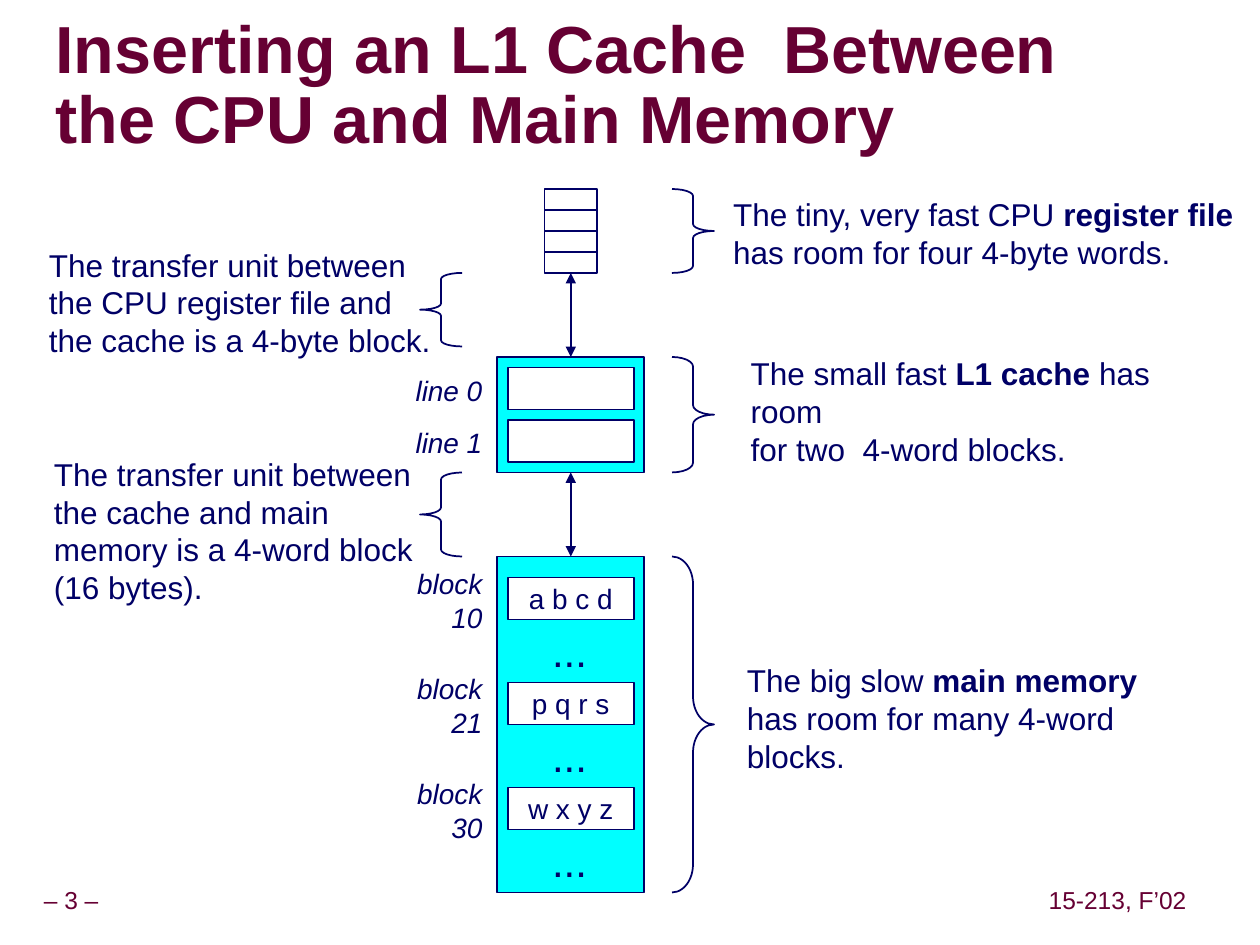
from collections import namedtuple

from lxml.etree import SubElement
from pptx import Presentation
from pptx.dml.color import RGBColor
from pptx.enum.shapes import MSO_CONNECTOR as Connector, MSO_SHAPE as Shape
from pptx.enum.text import MSO_ANCHOR as Anchor, PP_ALIGN as Align
from pptx.oxml.ns import qn
from pptx.util import Inches, Pt

NAVY = RGBColor(0x00, 0x00, 0x66)
MAROON = RGBColor(0x66, 0x00, 0x33)
CYAN = RGBColor(0x00, 0xFF, 0xFF)
WHITE = RGBColor(0xFF, 0xFF, 0xFF)
FONT = "Arial"
ROW = 1 / 12  # grid step in inches
CENTRE = 4.53  # axis of the memory column
LABEL_WIDTH = 1.02

Box = namedtuple("Box", "left top width height")


def centred(top_row, columns, rows):
    """Box on the memory axis, measured in grid steps."""
    width = columns * ROW
    return Box(CENTRE - width / 2, top_row * ROW, width, rows * ROW)


def emu(box):
    return [Inches(length) for length in box]


def write(frame, lines, size, color=NAVY, align=Align.LEFT, bold=None,
          italic=None, spacing=None, margins=(0.1, 0.05)):
    """Fill a frame with one paragraph per line; *stars* enclose bold words."""
    frame.word_wrap = False
    frame.vertical_anchor = Anchor.MIDDLE
    frame.margin_left = frame.margin_right = Inches(margins[0])
    frame.margin_top = frame.margin_bottom = Inches(margins[1])
    for index, line in enumerate(lines):
        paragraph = frame.add_paragraph() if index else frame.paragraphs[0]
        paragraph.alignment = align
        paragraph.line_spacing = spacing
        font = paragraph.font
        font.name, font.size, font.color.rgb = FONT, Pt(size), color
        font.bold, font.italic = bold, italic
        for part, words in enumerate(line.split("*")):
            if words:
                run = paragraph.add_run()
                run.text = words
                if part % 2:
                    run.font.bold = True


def add_text(slide, box, lines, size, **style):
    frame = slide.shapes.add_textbox(*emu(box)).text_frame
    write(frame, lines, size, **style)
    return frame


def add_outline(slide, kind, box, fill=None):
    shape = slide.shapes.add_shape(kind, *emu(box))
    shape.shadow.inherit = False
    if fill is None:
        shape.fill.background()
    else:
        shape.fill.solid()
        shape.fill.fore_color.rgb = fill
    shape.line.color.rgb = NAVY
    shape.line.width = Pt(1)
    return shape


def add_brace(slide, kind, box):
    brace = add_outline(slide, kind, box)
    brace.adjustments[0] = box.height / 12 / box.width


def add_title(slide, box):
    frame = add_text(slide, box, ["Inserting an L1 Cache  Between ", "the CPU and Main Memory"],
                     38, color=MAROON, bold=True, spacing=0.87, margins=(0, 0))
    for paragraph in frame.paragraphs:
        for run in paragraph.runs:
            effects = SubElement(run.font._element, qn("a:effectLst"))
            shadow = SubElement(effects, qn("a:outerShdw"), dist="38100", dir="2700000")
            SubElement(shadow, qn("a:srgbClr"), val="969696")


def add_footer(slide, box):
    for left, width, words in ((-0.09, 1.31, "– 3 –"), (8.27, 1.2, "15-213, F’02")):
        add_text(slide, Box(box.left + left, box.top, width, box.height), [words], 14,
                 color=MAROON, align=Align.CENTER, spacing=0.9, margins=(0.05, 0.05))


def add_registers(slide, box, count=4):
    """Stack the register cells; return the lowest one."""
    height = box.height / count
    for index in range(count):
        cell = add_outline(slide, Shape.RECTANGLE,
                           Box(box.left, box.top + index * height, box.width, height))
    return cell


def add_store(slide, box, first_row, pitch, blocks, gap_dots=False):
    """Draw a cyan store holding labelled blocks, and return its frame."""
    store = add_outline(slide, Shape.RECTANGLE, box, CYAN)
    for index, (label, content) in enumerate(blocks):
        block = Box(box.left + ROW, box.top + (first_row + index * pitch) * ROW,
                    box.width - 2 * ROW, 4 * ROW)
        cell = add_outline(slide, Shape.RECTANGLE, block, WHITE)
        if content:
            write(cell.text_frame, [content], 16, align=Align.CENTER)
        add_text(slide, Box(box.left - LABEL_WIDTH - 0.02, block.top, LABEL_WIDTH, 0.36),
                 [label], 16, align=Align.RIGHT, italic=True)
        if gap_dots:
            add_text(slide, Box(CENTRE - 0.25, block.top + block.height, 0.48, 0.5),
                     ["..."], 24, align=Align.CENTER)
    return store


def add_transfer(slide, upper, lower):
    arrow = slide.shapes.add_connector(Connector.STRAIGHT, 0, 0, 0, 0)
    arrow.begin_connect(upper, 2)
    arrow.end_connect(lower, 0)
    arrow.line.color.rgb = NAVY
    arrow.line.width = Pt(1)
    line = arrow.line._get_or_add_ln()
    for end in ("a:headEnd", "a:tailEnd"):
        SubElement(line, qn(end), type="triangle")
    SubElement(arrow._element.spPr, qn("a:effectLst"))


def add_remark(slide, kind, brace_box, text_box, lines):
    add_brace(slide, kind, brace_box)
    add_text(slide, text_box, lines, 18)


def main():
    deck = Presentation()
    deck.slide_width, deck.slide_height = Inches(10), Inches(7.5)
    slide = deck.slides.add_slide(deck.slide_layouts[6])

    add_title(slide, Box(0.44, 0.27, 9.53, 0.85))
    add_footer(slide, Box(0, 7, 10, 0.31))

    register_box, cache_box, memory_box = (
        centred(18, 5, 8), centred(34, 14, 11), centred(53, 14, 32))
    registers = add_registers(slide, register_box)
    cache = add_store(slide, cache_box, 1, 5, [("line 0", ""), ("line 1", "")])
    memory = add_store(slide, memory_box, 2, 10,
                       [("block 10", "a b c d"), ("block 21", "p q r s"),
                        ("block 30", "w x y z")], gap_dots=True)
    add_transfer(slide, registers, cache)
    add_transfer(slide, cache, memory)

    right_remarks = [
        (register_box, Box(5.72, 1.5, 4.19, 0.7),
         ["The tiny, very fast CPU *register file*", "has room for four 4-byte words."]),
        (cache_box, Box(5.86, 2.91, 4, 0.7),
         ["The small fast *L1 cache *has room", "for two  4-word blocks."]),
        (memory_box, Box(5.83, 5.2, 3.3, 1),
         ["The big slow *main memory*", "has room for many 4-word", "blocks."]),
    ]
    for store_box, text_box, lines in right_remarks:
        brace_box = Box(64 * ROW, store_box.top, 4 * ROW, store_box.height)
        add_remark(slide, Shape.RIGHT_BRACE, brace_box, text_box, lines)

    left_remarks = [
        (26, 7, Box(0.29, 1.9, 3.38, 1),
         ["The transfer unit between", "the CPU register file and",
          "the cache is a 4-byte block."]),
        (45, 8, Box(0.33, 3.56, 3.05, 1.3),
         ["The transfer unit between", "the cache and main",
          "memory is a 4-word block", "(16 bytes)."]),
    ]
    for top_row, rows, text_box, lines in left_remarks:
        brace_box = Box(40 * ROW, top_row * ROW, 4 * ROW, rows * ROW)
        add_remark(slide, Shape.LEFT_BRACE, brace_box, text_box, lines)

    deck.save("out.pptx")


if __name__ == "__main__":
    main()
